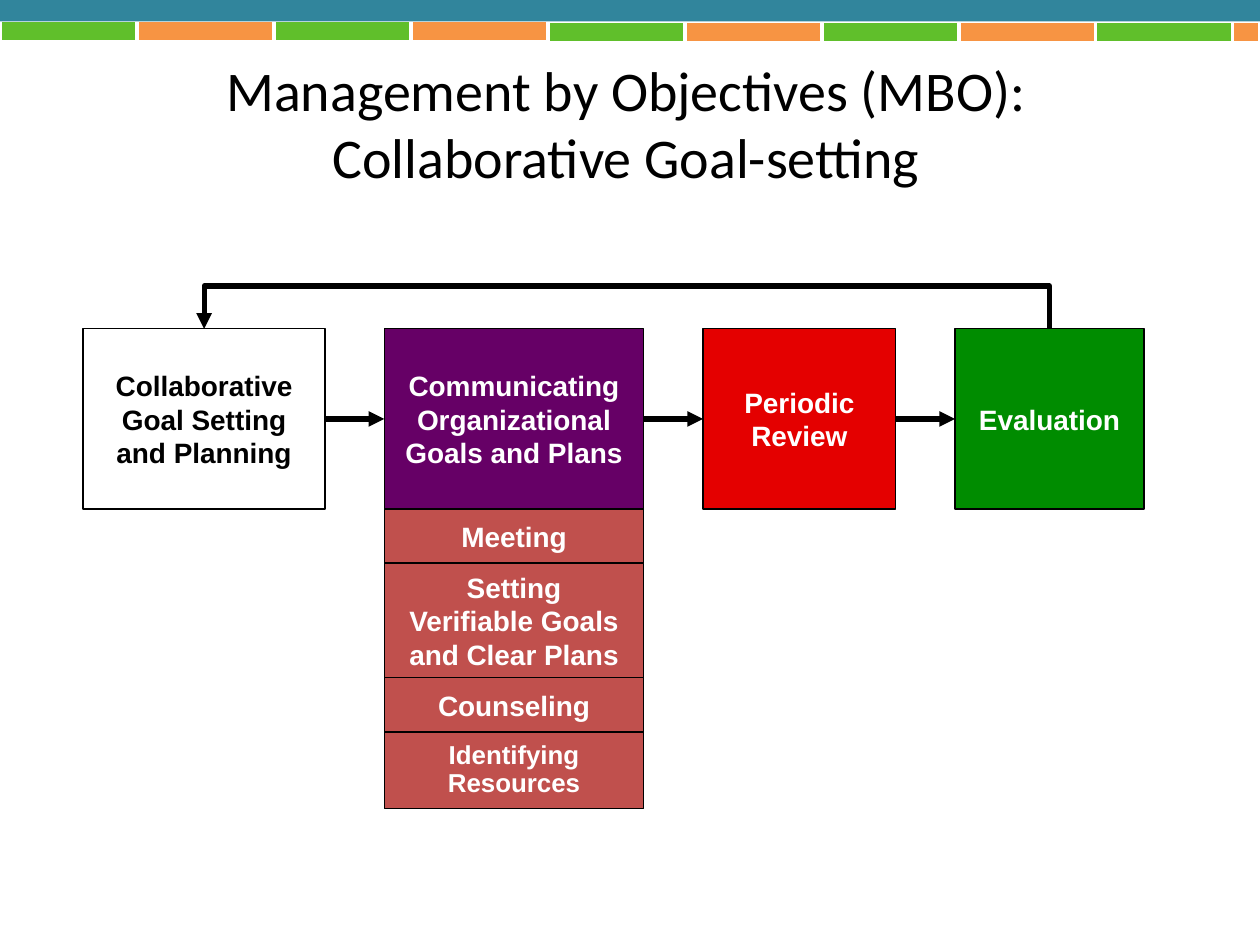
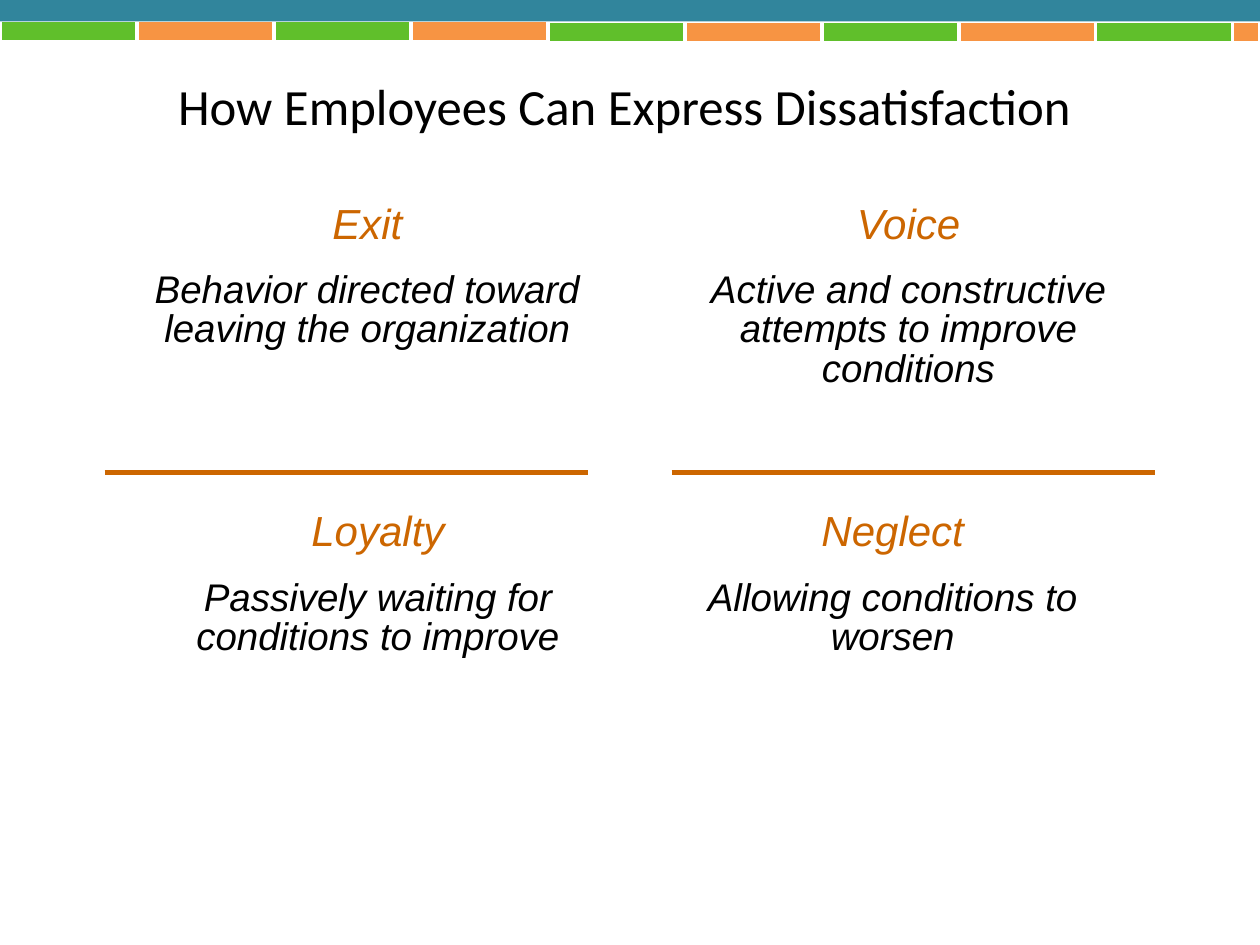
from lxml import etree
from pptx import Presentation
from pptx.dml.color import RGBColor
from pptx.enum.shapes import MSO_CONNECTOR as Connector, MSO_SHAPE as Shape
from pptx.enum.text import MSO_ANCHOR as Anchor, PP_ALIGN as Align
from pptx.oxml.ns import qn
from pptx.util import Inches, Pt

BLACK, WHITE = "000000", "FFFFFF"
TEAL, GREEN, ORANGE = "31859C", "60BF2B", "F79443"
BRICK, RUST = "C0504D", "CC6600"
SLIDE_WIDTH, SLIDE_HEIGHT = 10, 7.5

MBO_TITLE = "Management by Objectives (MBO): Collaborative Goal-setting"
# text, width, fill, font colour
STEPS = [
    ("Collaborative Goal Setting and Planning", 1.92, WHITE, BLACK),
    ("Communicating Organizational Goals and Plans", 2.06, "660066", WHITE),
    ("Periodic Review", 1.53, "E40000", WHITE),
    ("Evaluation", 1.5, "008C00", WHITE),
]
STEP_LEFT, STEP_TOP, STEP_HEIGHT, STEP_GAP = 0.66, 2.61, 1.43, 0.47
FEEDBACK_TOP = 2.27
# lines, height, text format
COMMUNICATION_PARTS = [
    (["Meeting"], 0.43, {}),
    (["Setting", "Verifiable Goals", "and Clear Plans"], 0.91, {}),
    (["Counseling"], 0.43, {}),
    (["Identifying Resources"], 0.61, {"size": 14.8, "line_spacing": 0.9}),
]

DISSATISFACTION_TITLE = "How Employees Can Express Dissatisfaction"
# heading, description, left, top, width
RESPONSES = [
    ("Exit", "Behavior directed toward leaving the organization", 0.83, 1.58, 4.17),
    ("Voice", "Active and constructive attempts to improve conditions", 5.25, 1.58, 3.92),
    ("Loyalty", "Passively waiting for conditions to improve", 1, 4.02, 4),
    ("Neglect", "Allowing conditions to worsen", 5.25, 4.02, 3.67),
]
RESPONSE_HEIGHT = 1.26
DIVIDER_LEFTS, DIVIDER_TOP, DIVIDER_WIDTH = (0.83, 5.33), 3.75, 3.84


def color(hex_string):
    return RGBColor.from_string(hex_string)


def write(shape, text, *, size=16, font="Arial", ink=BLACK, bold=False, italic=False,
          line_spacing=None, space_before=None, anchor=Anchor.MIDDLE, append=False):
    """Put centred text in a shape, or append it as a further paragraph."""
    frame = shape.text_frame
    frame.word_wrap = True
    frame.vertical_anchor = anchor
    paragraph = frame.add_paragraph() if append else frame.paragraphs[0]
    paragraph.text = text
    paragraph.alignment = Align.CENTER
    if line_spacing:
        paragraph.line_spacing = line_spacing
    if space_before:
        paragraph.space_before = Pt(space_before)
    paragraph.font.name = font
    paragraph.font.size = Pt(size)
    paragraph.font.bold = bold
    paragraph.font.italic = italic
    paragraph.font.color.rgb = color(ink)


def add_box(slide, left, top, width, height, fill, line=None, line_width=0.75):
    shape = slide.shapes.add_shape(
        Shape.RECTANGLE, Inches(left), Inches(top), Inches(width), Inches(height))
    shape.shadow.inherit = False
    shape.fill.solid()
    shape.fill.fore_color.rgb = color(fill)
    if line:
        shape.line.color.rgb = color(line)
        shape.line.width = Pt(line_width)
    else:
        shape.line.fill.background()
    return shape


def add_text_box(slide, left, top, width, height):
    return slide.shapes.add_textbox(
        Inches(left), Inches(top), Inches(width), Inches(height))


def style_line(shape, ink, arrow=False):
    shape.line.color.rgb = color(ink)
    shape.line.width = Pt(3)
    if arrow:
        etree.SubElement(shape.line._get_or_add_ln(), qn("a:tailEnd"), type="triangle")


def add_line(slide, start, end, ink, arrow=False):
    connector = slide.shapes.add_connector(
        Connector.STRAIGHT, *(Inches(value) for value in (*start, *end)))
    style_line(connector, ink, arrow)
    etree.SubElement(connector._element.spPr, qn("a:effectLst"))
    return connector


def add_band(slide):
    """Draw the row of alternating tiles under the teal bar."""
    tile_width = 1.087
    for index in range(10):
        left = index * tile_width
        add_box(slide, left, 0.16 if index < 4 else 0.17,
                min(tile_width, SLIDE_WIDTH - left), 0.17,
                ORANGE if index % 2 else GREEN, WHITE, 2)
    add_box(slide, 0, 0, SLIDE_WIDTH, 0.17, TEAL)


def add_slide(presentation, title, title_place, title_size):
    slide = presentation.slides.add_slide(presentation.slide_layouts[6])
    add_band(slide)
    write(add_text_box(slide, *title_place), title, size=title_size, font="Calibri")
    return slide


def add_feedback_arrow(slide, source, target):
    """Lead from the top of the source box back to the top of the target box."""
    source_x, target_x = (box.left + box.width // 2 for box in (source, target))
    builder = slide.shapes.build_freeform(source_x, source.top)
    builder.add_line_segments(
        [(source_x, Inches(FEEDBACK_TOP)), (target_x, Inches(FEEDBACK_TOP)),
         (target_x, target.top)], close=False)
    arrow = builder.convert_to_shape()
    arrow.shadow.inherit = False
    arrow.fill.background()
    style_line(arrow, BLACK, arrow=True)


def build_mbo_slide(presentation):
    slide = add_slide(presentation, MBO_TITLE, (1.08, 0.33, 7.78, 1.29), 32)
    boxes = []
    left = STEP_LEFT
    for text, width, fill, ink in STEPS:
        box = add_box(slide, left, STEP_TOP, width, STEP_HEIGHT, fill, BLACK)
        write(box, text, ink=ink, bold=True)
        boxes.append(box)
        left += width + STEP_GAP

    part_left = STEP_LEFT + STEPS[0][1] + STEP_GAP
    part_top = STEP_TOP + STEP_HEIGHT
    for lines, height, text_format in COMMUNICATION_PARTS:
        box = add_box(slide, part_left, part_top, STEPS[1][1], height, BRICK, BLACK)
        for index, text in enumerate(lines):
            write(box, text, ink=WHITE, bold=True, append=index > 0, **text_format)
        part_top += height

    for source, target in zip(boxes, boxes[1:]):
        arrow = add_line(slide, (0, 0), (1, 0), BLACK, arrow=True)
        arrow.begin_connect(source, 3)
        arrow.end_connect(target, 1)
    add_feedback_arrow(slide, boxes[-1], boxes[0])


def build_dissatisfaction_slide(presentation):
    slide = add_slide(presentation, DISSATISFACTION_TITLE, (0.67, 0.42, 8.58, 0.83), 29)
    for left in DIVIDER_LEFTS:
        add_line(slide, (left, DIVIDER_TOP), (left + DIVIDER_WIDTH, DIVIDER_TOP), RUST)
    shared = {"italic": True, "line_spacing": 0.85, "anchor": Anchor.TOP}
    for heading, description, left, top, width in RESPONSES:
        box = add_text_box(slide, left, top, width, RESPONSE_HEIGHT)
        write(box, heading, size=24, ink=RUST, **shared)
        write(box, description, size=22, space_before=13.8, append=True, **shared)


def main():
    presentation = Presentation()
    presentation.slide_width = Inches(SLIDE_WIDTH)
    presentation.slide_height = Inches(SLIDE_HEIGHT)
    build_mbo_slide(presentation)
    build_dissatisfaction_slide(presentation)
    presentation.save("out.pptx")


if __name__ == "__main__":
    main()
